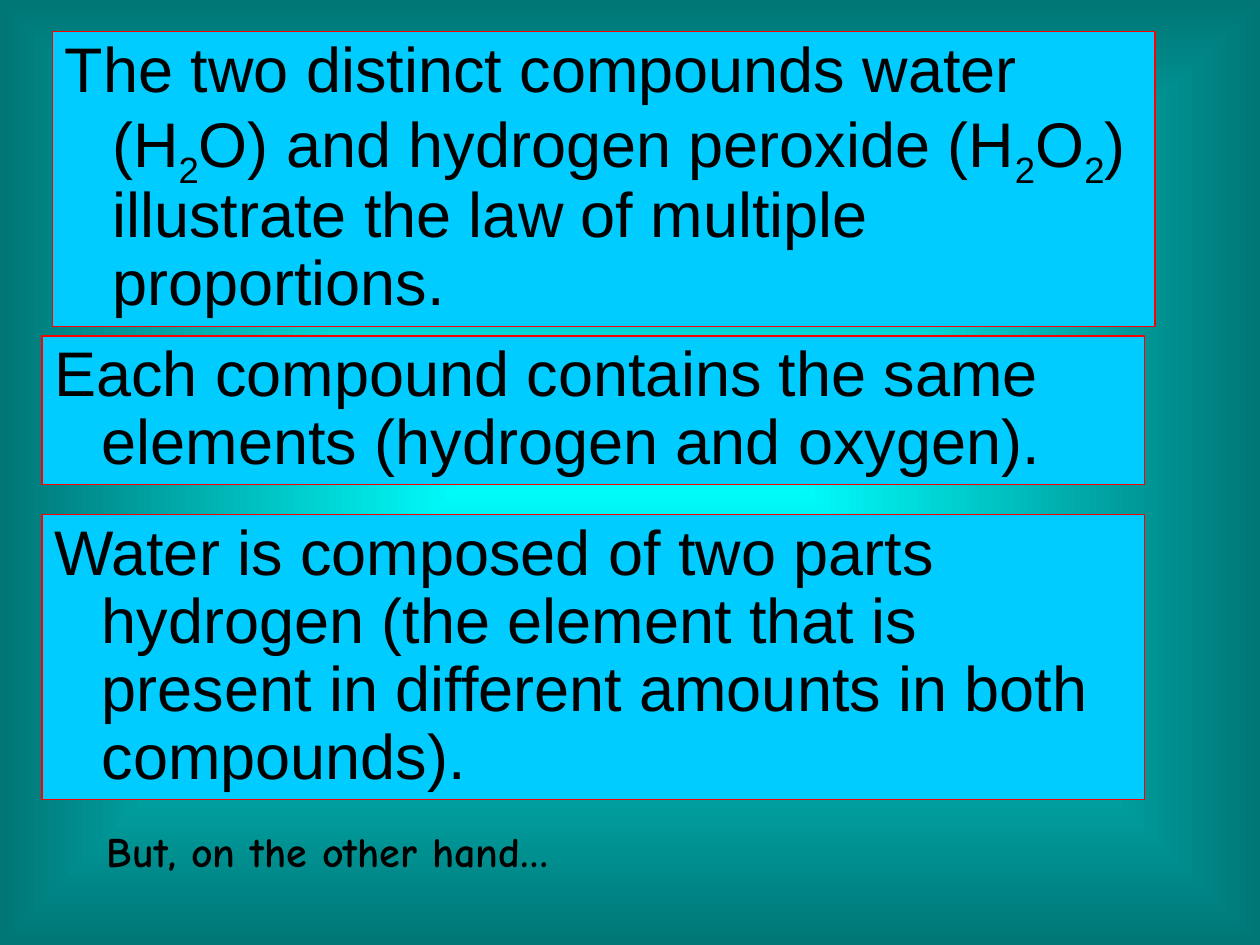
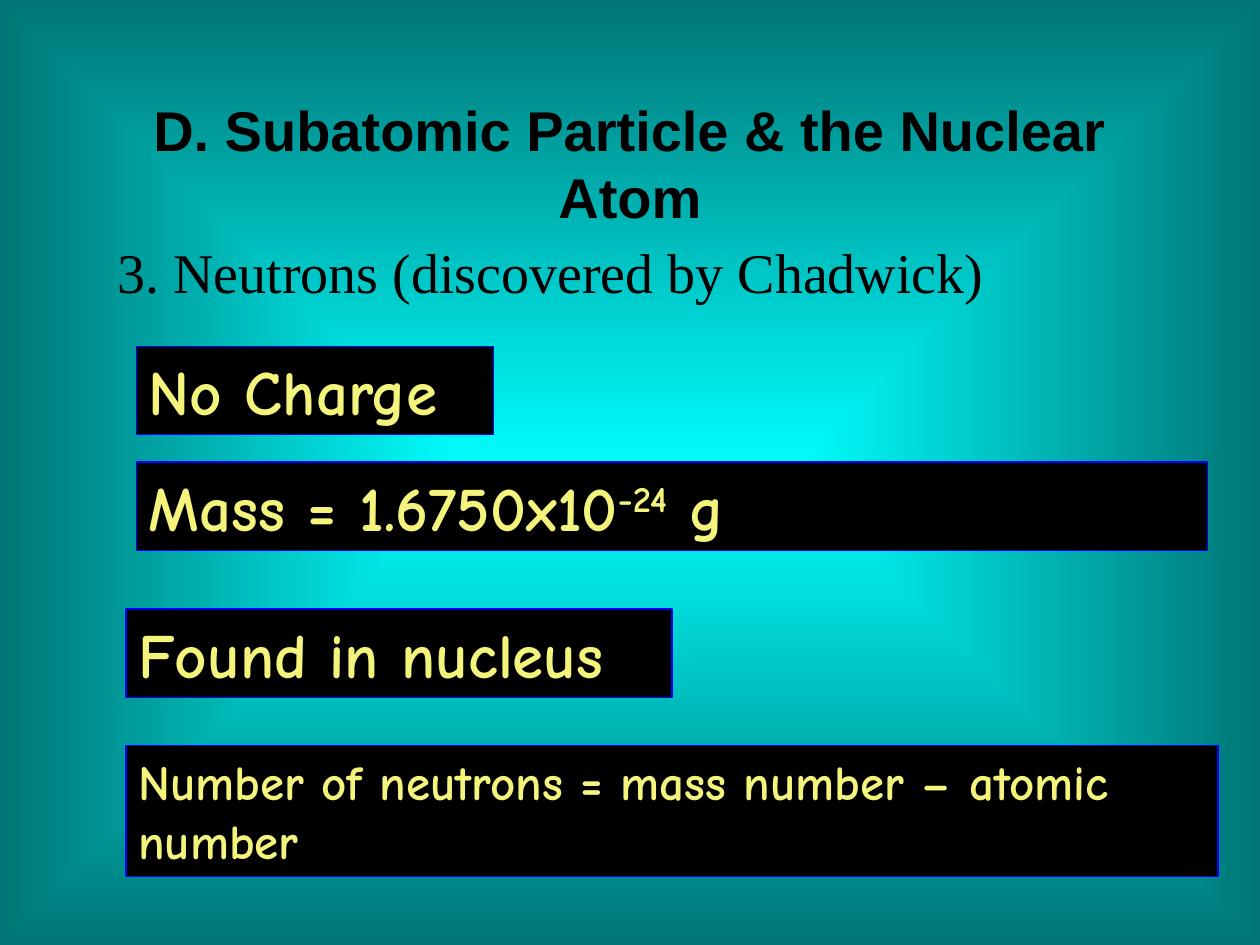
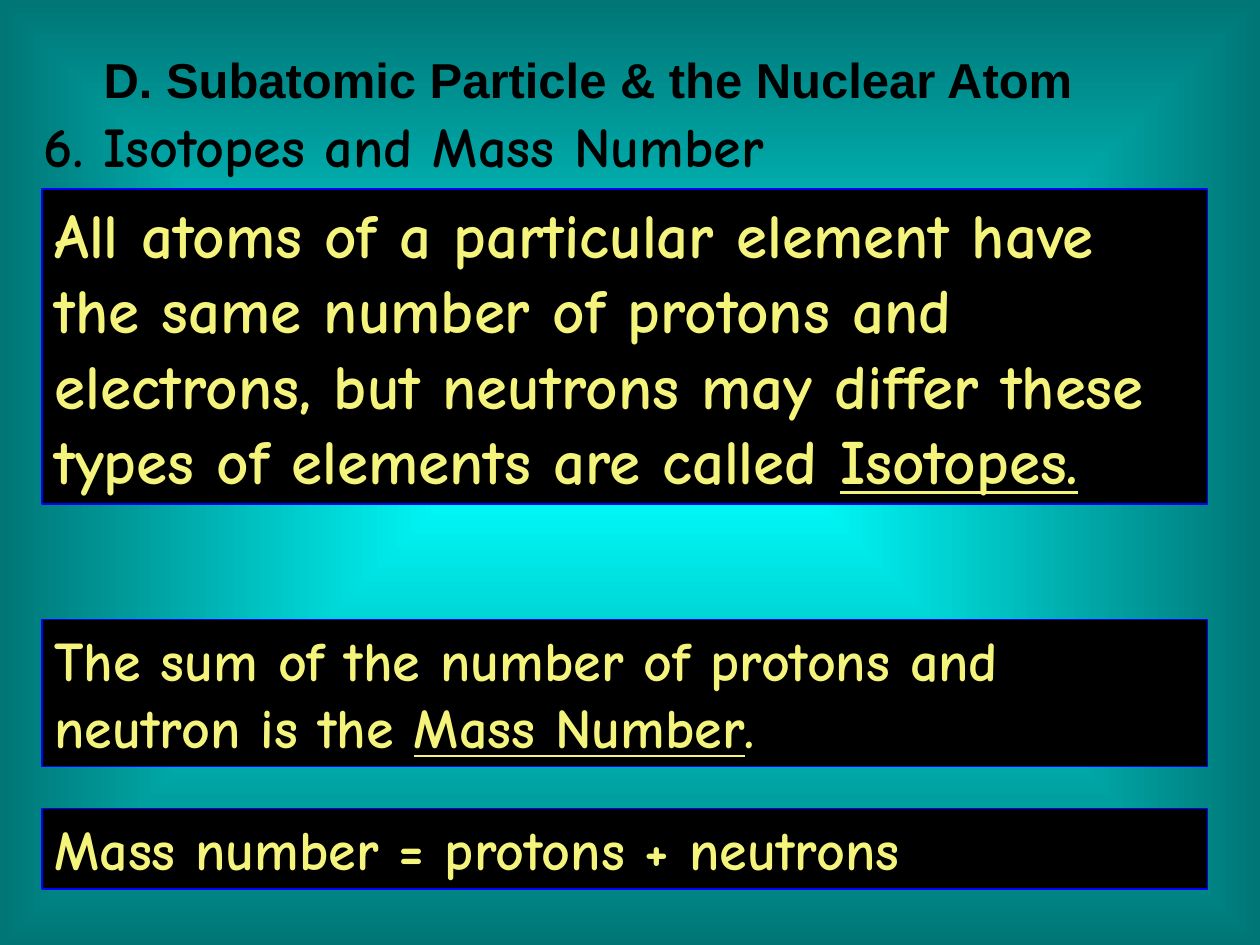
from dataclasses import dataclass

from lxml import etree
from pptx import Presentation
from pptx.dml.color import RGBColor
from pptx.enum.shapes import MSO_SHAPE
from pptx.enum.text import MSO_ANCHOR, MSO_AUTO_SIZE, PP_ALIGN
from pptx.oxml.ns import qn
from pptx.util import Pt


@dataclass(frozen=True)
class Look:
    """How a block of text is drawn; without a fill it is a plain caption."""
    face: str
    bold: bool = False
    ink: str = "000000"
    fill: str = ""
    edge: str = ""
    hanging: int = 0
    line_spacing: float = 1.0


class Theme:
    width, height = 720, 540
    glow, rim = "00FFFF", "007676"
    edge_width = 0.75
    large, medium, small, note = 36, 32, 28, 24
    title = Look("Arial", bold=True)
    serif = Look("Times New Roman")
    caption = Look("Comic Neue", bold=True)
    statement = Look("Arial", fill="00CCFF", edge="FF0000", hanging=27, line_spacing=0.9)
    fact = Look("Comic Neue", bold=True, ink="F4F47C", fill="000000", edge="0000FF")


SUB, SUPER, UNDERLINE = "sub", "super", "underline"
BASELINES = {SUB: "-25000", SUPER: "30000"}
HEADING = "D. Subatomic Particle & the Nuclear Atom"

# Title: (size, place). Blocks: (look, size, (left, top, width, height), runs);
# a run is plain text or (text, emphasis).
SLIDES = [
    {"blocks": [
        (Theme.statement, Theme.large, (30, 18, 630, 168.5),
         ["The two distinct compounds water (H", ("2", SUB),
          "O) and hydrogen peroxide (H", ("2", SUB), "O", ("2", SUB),
          ") illustrate the law of multiple proportions."]),
        (Theme.statement, Theme.large, (24, 192, 630, 85),
         ["Each compound contains the same elements (hydrogen and oxygen)."]),
        (Theme.statement, Theme.large, (24, 294, 630, 162.75),
         ["Water is composed of two parts hydrogen (the element that is "
          "present in different amounts in both compounds)."]),
        (Theme.caption, Theme.note, (54, 468, 414, 36), ["But, on the other hand…"]),
    ]},
    {"title": (Theme.medium, (54, 48, 612, 90)), "blocks": [
        (Theme.serif, Theme.medium, (60, 132, 624, 54),
         ["3. Neutrons (discovered by Chadwick)"]),
        (Theme.fact, Theme.large, (78, 198, 204, 50.5), ["No Charge"]),
        (Theme.fact, Theme.large, (78, 264, 612, 50.5),
         ["Mass = 1.6750x10", ("-24", SUPER), " g"]),
        (Theme.fact, Theme.large, (72, 348, 312, 50.5), ["Found in nucleus"]),
        (Theme.fact, Theme.small, (72, 426, 624, 75),
         ["Number of neutrons = mass number – atomic number"]),
    ]},
    {"title": (Theme.small, (30, 0, 612, 90)), "blocks": [
        (Theme.fact, Theme.large, (24, 108, 666, 180),
         ["All atoms of a particular element have the same number of protons and "
          "electrons, but neutrons may differ these types of elements are called ",
          ("Isotopes.", UNDERLINE)]),
        (Theme.caption, Theme.medium, (18, 60, 594, 46), ["6. Isotopes and Mass Number"]),
        (Theme.fact, Theme.medium, (24, 354, 666, 84),
         ["The sum of the number of protons and neutron is the ",
          ("Mass Number", UNDERLINE), "."]),
        (Theme.fact, Theme.medium, (24, 462, 666, 46),
         ["Mass number = protons + neutrons"]),
    ]},
]


def rgb(code):
    return RGBColor.from_string(code)


def paint_background(master):
    """Give every slide a rectangular glow, bright in the middle."""
    fill = master.background.fill
    fill.gradient()
    for stop, color in zip(fill.gradient_stops, (Theme.glow, Theme.rim)):
        stop.color.rgb = rgb(color)
    gradient = master.element.find(".//" + qn("p:bgPr")).find(qn("a:gradFill"))
    gradient.remove(gradient.find(qn("a:lin")))
    rings = etree.SubElement(gradient, qn("a:path"), {"path": "rect"})
    etree.SubElement(rings, qn("a:fillToRect"), dict.fromkeys("ltrb", "50000"))


def write(frame, runs, look, size, align=PP_ALIGN.LEFT, anchor=MSO_ANCHOR.TOP):
    frame.word_wrap = True
    frame.auto_size = MSO_AUTO_SIZE.NONE
    frame.vertical_anchor = anchor
    paragraph = frame.paragraphs[0]
    paragraph.alignment = align
    paragraph.line_spacing = look.line_spacing
    if look.hanging:
        indents = paragraph._p.get_or_add_pPr()
        indents.set("marL", str(Pt(look.hanging)))
        indents.set("indent", str(-Pt(look.hanging)))
    for item in runs:
        text, emphasis = (item, None) if isinstance(item, str) else item
        run = paragraph.add_run()
        run.text = text
        if emphasis == UNDERLINE:
            run.font.underline = True
        elif emphasis:
            run._r.get_or_add_rPr().set("baseline", BASELINES[emphasis])
    font = paragraph.font
    font.name, font.size, font.bold = look.face, Pt(size), look.bold
    font.color.rgb = rgb(look.ink)


def add_block(slide, look, size, place, runs):
    place = [Pt(length) for length in place]
    if look.fill:
        block = slide.shapes.add_shape(MSO_SHAPE.RECTANGLE, *place)
        block.shadow.inherit = False
        block.fill.solid()
        block.fill.fore_color.rgb = rgb(look.fill)
        block.line.color.rgb = rgb(look.edge)
        block.line.width = Pt(Theme.edge_width)
    else:
        block = slide.shapes.add_textbox(*place)
    write(block.text_frame, runs, look, size)


def set_title(slide, size, place):
    title = slide.shapes.title
    title.left, title.top, title.width, title.height = map(Pt, place)
    write(title.text_frame, [HEADING], Theme.title, size, PP_ALIGN.CENTER, MSO_ANCHOR.MIDDLE)


def main():
    deck = Presentation()
    deck.slide_width, deck.slide_height = Pt(Theme.width), Pt(Theme.height)
    paint_background(deck.slide_master)
    title_only, blank = deck.slide_layouts[5], deck.slide_layouts[6]
    for content in SLIDES:
        slide = deck.slides.add_slide(title_only if "title" in content else blank)
        if "title" in content:
            set_title(slide, *content["title"])
        for block in content["blocks"]:
            add_block(slide, *block)
    deck.save("out.pptx")


if __name__ == "__main__":
    main()
